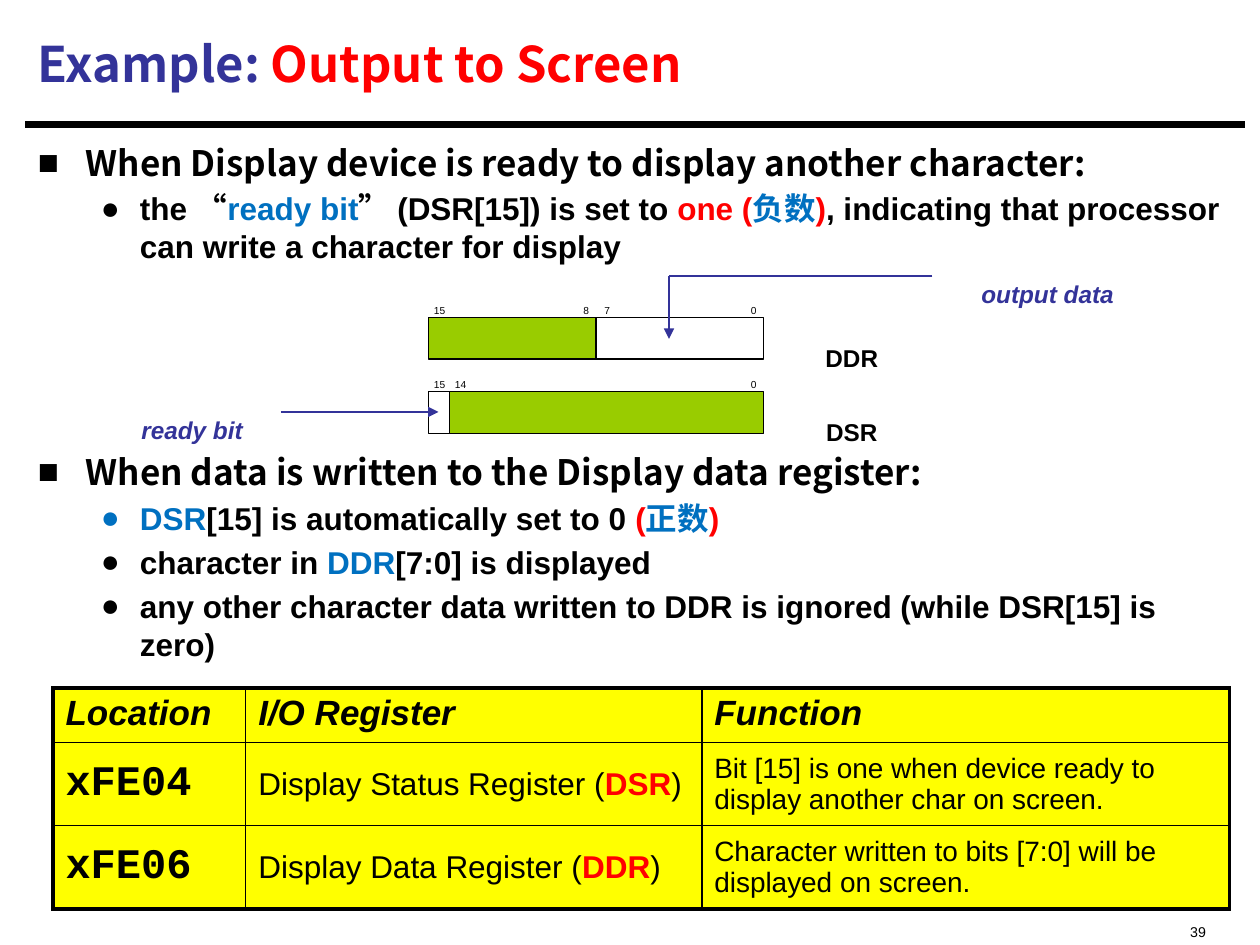
import pptx
import pptx.dml.color
import pptx.enum.shapes
import pptx.enum.text
import pptx.oxml
import pptx.oxml.ns
import pptx.util
from lxml import etree
from pptx.util import Inches

C = {"black": "000000", "white": "FFFFFF", "navy": "333399", "red": "FF0000",
     "blue": "0070C0", "green": "99CC00", "yellow": "FFFF00"}
CJK = "Noto Sans CJK SC"
ALIGN = pptx.enum.text.PP_ALIGN
ANCHOR = pptx.enum.text.MSO_ANCHOR


def rgb(color):
    return pptx.dml.color.RGBColor.from_string(C[color])


def sub(parent, tag, **attrs):
    return etree.SubElement(parent, pptx.oxml.ns.qn(tag), attrs)


def add_runs(p, runs, color="black", lowered=False, **fmt):
    """Add runs to a paragraph; each is a string or a (string, overrides) pair."""
    for item in runs:
        text, own = (item, {}) if isinstance(item, str) else item
        look = {"name": "Arial", "size": 18, "bold": False, "italic": False,
                "color": color, **fmt, **own}
        r = p.add_run()
        r.text = text
        r.font.color.rgb = rgb(look.pop("color"))
        look["size"] = pptx.util.Pt(look["size"])
        for key, value in look.items():
            setattr(r.font, key, value)
        rPr = r._r.get_or_add_rPr()
        sub(rPr, "a:ea", typeface=CJK)
        if lowered:
            rPr.set("baseline", "-25000")


def add_label(s, x, y, w, h, text, align=ALIGN.CENTER, **fmt):
    tf = s.shapes.add_textbox(Inches(x), Inches(y), Inches(w), Inches(h)).text_frame
    tf.word_wrap = False
    p = tf.paragraphs[0]
    p.alignment = align
    add_runs(p, [text], lowered=True, **fmt)


def add_line(s, x1, y1, x2, y2, color, width, arrow=False):
    sp = s.shapes.add_connector(pptx.enum.shapes.MSO_CONNECTOR.STRAIGHT,
                                Inches(x1), Inches(y1), Inches(x2), Inches(y2))
    sp.line.color.rgb = rgb(color)
    sp.line.width = pptx.util.Pt(width)
    if arrow:
        sub(sp.line._get_or_add_ln(), "a:tailEnd", type="triangle")
    sub(sp._element.spPr, "a:effectLst")


def place(sp, x, y, w, h):
    for key, value in zip(("left", "top", "width", "height"), (x, y, w, h)):
        setattr(sp, key, Inches(value))
    sp.text_frame.word_wrap = True
    sp.text_frame.auto_size = pptx.enum.text.MSO_AUTO_SIZE.NONE


def add_title(s, x, y, w, h):
    sp = s.shapes.title
    place(sp, x, y, w, h)
    sp.text_frame.vertical_anchor = ANCHOR.MIDDLE
    p = sp.text_frame.paragraphs[0]
    p.alignment = ALIGN.LEFT
    add_runs(p, ["Example: ", ("Output to Screen", {"color": "red"})],
             color="navy", name=CJK, size=28, bold=True)
    add_line(s, x, y + 0.91, x + 9.68, y + 0.91, "black", 3.75)


def add_body(s, x, y, w, h):
    blue, red = {"color": "blue"}, {"color": "red"}
    diagram_gap = 106
    items = [
        (0, 4, ["When Display device is ready to display another character:"]),
        (1, 3.6, ["the “", ("ready bit", blue), "” (DSR[15]) is set to ",
                  ("one (", red), ("负数", blue), (")", red),
                  ", indicating that processor can write a character for display"]),
        (0, diagram_gap, ["When data is written to the Display data register:"]),
        (1, 3.6, [("DSR", blue), "[15] is automatically set to 0", (" (", red),
                  ("正数", blue), (")", red)]),
        (1, 3.6, ["character in ", ("DDR", blue), "[7:0] is displayed"]),
        (1, 3.6, ["any other character data written to DDR is ignored "
                  "(while DSR[15] is zero)"]),
    ]
    levels = [(0.38, 0.38, "■", {"name": CJK, "size": 20}),
              (0.81, 0.31, "●", {"name": "Arial", "size": 18})]
    sp = s.placeholders[1]
    place(sp, x, y, w, h)
    tf = sp.text_frame
    for i, (level, gap, runs) in enumerate(items):
        p = tf.add_paragraph() if i else tf.paragraphs[0]
        margin, hang, bullet, fmt = levels[level]
        p.level = level
        p.space_before = pptx.util.Pt(gap)
        pPr = p._p.get_or_add_pPr()
        pPr.set("marL", str(Inches(margin)))
        pPr.set("indent", str(-Inches(hang)))
        sub(pPr, "a:buFont", typeface="Arial")
        sub(pPr, "a:buChar", char=bullet)
        add_runs(p, runs, bold=True, **fmt)


def add_register(s, x, y, w, h, name, split, fills, bits):
    """Draw a 16-bit register cut in two after its first `split` bits."""
    bit = w / 16
    for start, count, fill in ((0, split, fills[0]), (split, 16 - split, fills[1])):
        sp = s.shapes.add_shape(pptx.enum.shapes.MSO_SHAPE.RECTANGLE,
                                Inches(x + start * bit), Inches(y),
                                Inches(count * bit), Inches(h))
        sp.shadow.inherit = False
        sp.fill.solid()
        sp.fill.fore_color.rgb = rgb(fill)
        sp.line.color.rgb = rgb("black")
        sp.line.width = pptx.util.Pt(0.75)
    for n in bits:
        add_label(s, x + (15.5 - n) * bit - 0.17, y - 0.25, 0.35, 0.27, str(n), size=10)
    add_label(s, x + w + 0.24, y - 0.07, 0.92, 0.5, name, size=24, bold=True)


def add_diagram(s, x, y, w, h):
    reg_x, reg_w, reg_h = x + 2.67, 2.66, 0.33
    ddr_y, dsr_y = y + 0.58, y + h - reg_h
    add_register(s, reg_x, ddr_y, reg_w, reg_h, "DDR", 8, ("green", "white"), (15, 8, 7, 0))
    add_register(s, reg_x, dsr_y, reg_w, reg_h, "DSR", 1, ("white", "green"), (15, 14, 0))
    note = {"size": 24, "bold": True, "italic": True, "color": "navy"}
    add_label(s, x + w - 2.01, y, 2.01, 0.5, "output data", **note)
    add_label(s, x, dsr_y - 0.09, 1.59, 0.5, "ready bit", **note)
    drop_x, top = x + 4.58, y + 0.25
    add_line(s, x + 6.67, top, drop_x, top, "navy", 0.75)
    add_line(s, drop_x, top, drop_x, top + 0.5, "navy", 0.75, arrow=True)
    add_line(s, x + 1.5, dsr_y + 0.16, reg_x + 0.08, dsr_y + 0.16, "navy", 0.75, arrow=True)


def add_borders(cell, **widths):
    tcPr = cell._tc.get_or_add_tcPr()
    for i, side in enumerate("LRTB"):
        ln = pptx.oxml.parse_xml(
            f'<a:ln{side} {pptx.oxml.ns.nsdecls("a")} w="{pptx.util.Pt(widths[side])}">'
            f'<a:solidFill><a:srgbClr val="{C["black"]}"/></a:solidFill></a:ln{side}>')
        tcPr.insert(i, ln)


def add_table(s, x, y, w, h):
    red = {"color": "red", "bold": True}
    rows = [
        (["Location"], ["I/O Register"], ["Function"]),
        (["xFE04"], ["Display Status Register (", ("DSR", red), ")"],
         ["Bit [15] is one when device ready to display another char on screen."]),
        (["xFE06"], ["Display Data Register (", ("DDR", red), ")"],
         ["Character written to bits [7:0] will be displayed on screen."]),
    ]
    header = {"size": 20, "bold": True, "italic": True}
    columns = [{"name": "Courier New", "size": 24, "bold": True}, {"size": 18}, {"size": 16}]
    table = s.shapes.add_table(3, 3, Inches(x), Inches(y), Inches(w), Inches(h)).table
    for col, width in zip(table.columns, (1.53, 3.62, w - 5.15)):
        col.width = Inches(width)
    for row, height in zip(table.rows, (0.43, 0.66, 0.66)):
        row.height = Inches(height)
    for i, row in enumerate(rows):
        for j, runs in enumerate(row):
            cell = table.cell(i, j)
            cell.fill.solid()
            cell.fill.fore_color.rgb = rgb("yellow")
            cell.vertical_anchor = ANCHOR.MIDDLE if i else ANCHOR.TOP
            add_runs(cell.text_frame.paragraphs[0], runs, **(columns[j] if i else header))
            edges = {"L": j == 0, "R": j == 2, "T": i == 0, "B": i == 2}
            add_borders(cell, **{side: 2.25 if outer else 1 for side, outer in edges.items()})


def main():
    prs = pptx.Presentation()
    prs.slide_width, prs.slide_height = Inches(10), Inches(7.5)
    s = prs.slides.add_slide(prs.slide_layouts[1])
    add_title(s, 0.2, 0.08, 9.67, 0.84)
    add_body(s, 0.2, 1.07, 9.67, 5.99)
    add_diagram(s, 0.73, 1.94, 8.59, 1.5)
    add_table(s, 0.42, 5.46, 9.34, 1.75)
    add_label(s, 6.67, 7.15, 3, 0.27, "39", align=ALIGN.RIGHT, size=14)
    prs.save("out.pptx")


if __name__ == "__main__":
    main()
